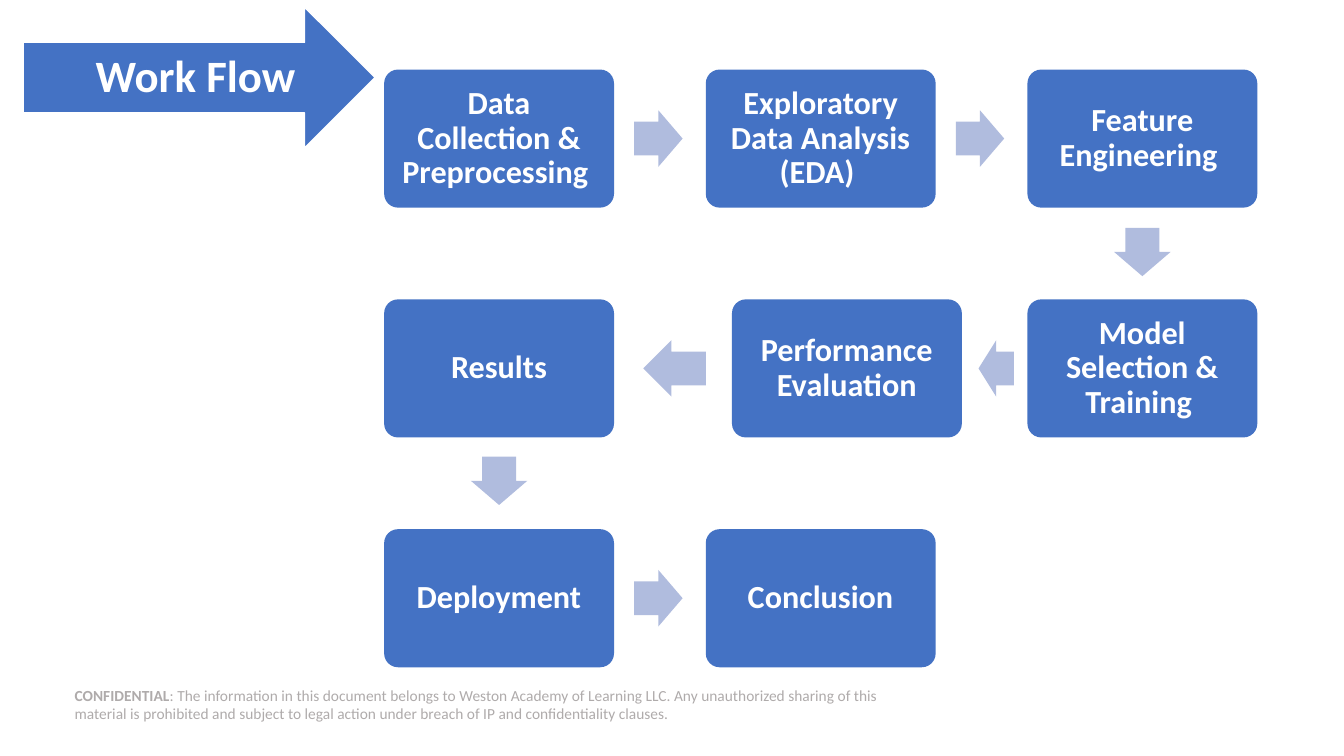
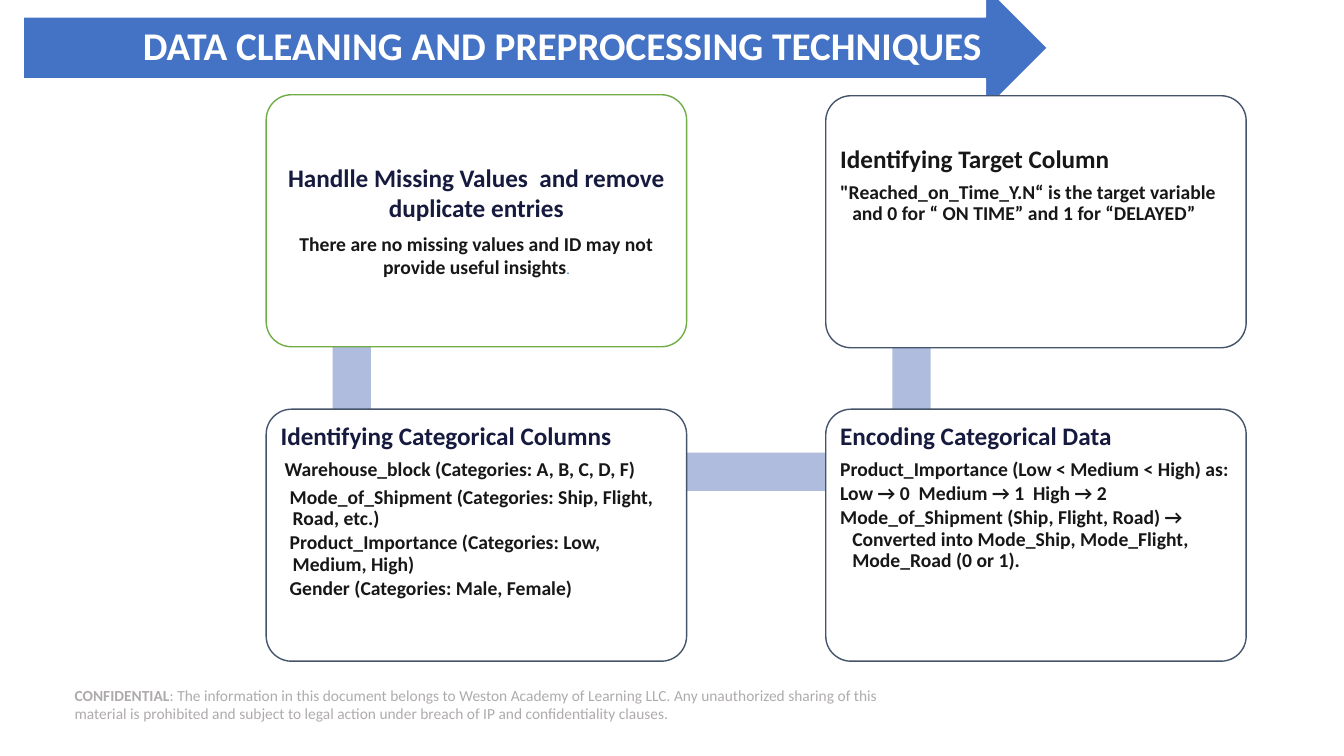
from dataclasses import dataclass

from pptx import Presentation
from pptx.dml.color import RGBColor
from pptx.enum.shapes import MSO_SHAPE
from pptx.enum.text import MSO_ANCHOR, PP_ALIGN
from pptx.shapes.autoshape import Shape
from pptx.slide import Slide
from pptx.util import Inches, Pt

BLUE = RGBColor(0x44, 0x72, 0xC4)
PALE_BLUE = RGBColor(0xB0, 0xBC, 0xDE)
GREEN = RGBColor(0x70, 0xAD, 0x47)
SLATE = RGBColor(0x44, 0x54, 0x6A)
NAVY = RGBColor(0x16, 0x1A, 0x3E)
BLACK = RGBColor(0x18, 0x17, 0x17)
GRAY = RGBColor(0xAF, 0xAB, 0xAB)
WHITE = RGBColor(0xFF, 0xFF, 0xFF)
FONT = "Calibri"

STEP_WIDTH, STEP_HEIGHT = 2.28, 1.37
COLUMNS = [3.81 + 3.19 * column for column in range(3)]
ROWS = [0.69 + 2.28 * row for row in range(3)]
ROW_CENTERS = [top + STEP_HEIGHT / 2 for top in ROWS]
CARD_WIDTH, CARD_HEIGHT = 4.17, 2.5
CARD_LEFT, CARD_RIGHT = 2.64, 8.19
BAR = 0.38


@dataclass(frozen=True)
class Box:
    left: float
    top: float
    width: float
    height: float


@dataclass(frozen=True)
class Line:
    text: str
    size: float
    color: RGBColor
    after: float = 0
    left: float = 0
    first: float = 0
    bold: bool = True


@dataclass(frozen=True)
class Step:
    text: str
    left: float
    top: float


@dataclass(frozen=True)
class FlowArrow:
    center_x: float
    center_y: float
    rotation: int = 0
    length: float = 0.48


@dataclass(frozen=True)
class Card:
    left: float
    top: float
    lines: tuple[Line, ...]
    border: RGBColor = SLATE
    centered: bool = False
    margin_top: float = 0.07


def heading(text: str, color: RGBColor = NAVY) -> Line:
    return Line(text, 18, color, after=6.3)


def detail(text: str, left: float = 0.12, first: float = -0.12, after: float = 2.1) -> Line:
    return Line(text, 14, BLACK, after, left, first)


STEPS = (
    Step("Data Collection & Preprocessing ", COLUMNS[0], ROWS[0]),
    Step("Exploratory Data Analysis (EDA) ", COLUMNS[1], ROWS[0]),
    Step("Feature Engineering ", COLUMNS[2], ROWS[0]),
    Step("Model Selection & Training ", COLUMNS[2], ROWS[1]),
    Step("Performance Evaluation", 7.26, ROWS[1]),
    Step("Results", COLUMNS[0], ROWS[1]),
    Step("Deployment", COLUMNS[0], ROWS[2]),
    Step("Conclusion", COLUMNS[1], ROWS[2]),
)

FLOW_ARROWS = (
    FlowArrow(6.53, ROW_CENTERS[0]),
    FlowArrow(9.72, ROW_CENTERS[0]),
    FlowArrow(11.33, 2.5, rotation=90),
    FlowArrow(9.88, ROW_CENTERS[1], rotation=180, length=0.35),
    FlowArrow(6.69, ROW_CENTERS[1], rotation=180, length=0.62),
    FlowArrow(4.95, 4.77, rotation=90),
    FlowArrow(6.53, ROW_CENTERS[2]),
)

LINK_BARS = (
    Box(3.3, 1.57, BAR, 3.11),
    Box(3.49, 4.49, 5.53, BAR),
    Box(8.85, 1.57, BAR, 3.11),
)

CARDS = (
    Card(CARD_LEFT, 0.94, (
        heading("Handlle Missing Values  and remove duplicate entries"),
        detail("There are no missing values and ID may not provide useful insights", 0, 0),
    ), border=GREEN, centered=True),
    Card(CARD_LEFT, 4.06, (
        heading("Identifying Categorical Columns"),
        detail("Warehouse_block (Categories: A, B, C, D, F)", 0.04, 0, 4.9),
        detail("Mode_of_Shipment (Categories: Ship, Flight, Road, etc.)", first=-0.03),
        detail("Product_Importance (Categories: Low, Medium, High)", first=-0.03),
        detail("Gender (Categories: Male, Female)", first=-0.03),
    )),
    Card(CARD_RIGHT, 4.06, (
        heading("Encoding Categorical Data"),
        detail("Product_Importance (Low < Medium < High) as:"),
        detail("Low → 0  Medium → 1  High → 2"),
        detail("Mode_of_Shipment (Ship, Flight, Road) → Converted into "
               "Mode_Ship, Mode_Flight, Mode_Road (0 or 1)."),
    )),
    Card(CARD_RIGHT, 0.95, (
        heading("Identifying Target Column", BLACK),
        detail('"Reached_on_Time_Y.N“ is the target variable and 0 for “ ON TIME” '
               "and 1 for “DELAYED”"),
    ), margin_top=0.43),
)


def add_block(slide: Slide, kind: MSO_SHAPE, box: Box, fill: RGBColor,
              border: RGBColor | None = None) -> Shape:
    shape = slide.shapes.add_shape(kind, Inches(box.left), Inches(box.top),
                                   Inches(box.width), Inches(box.height))
    shape.shadow.inherit = False
    shape.fill.solid()
    shape.fill.fore_color.rgb = fill
    if border is None:
        shape.line.fill.background()
    else:
        shape.line.color.rgb = border
        shape.line.width = Pt(1)
    return shape


def write_lines(shape: Shape, lines: tuple[Line, ...], alignment: PP_ALIGN,
                anchor: MSO_ANCHOR = MSO_ANCHOR.MIDDLE, spacing: float = 0.9,
                margins: tuple[float, float, float, float] = (0, 0, 0, 0)) -> None:
    frame = shape.text_frame
    frame.word_wrap = True
    frame.vertical_anchor = anchor
    (frame.margin_left, frame.margin_top,
     frame.margin_right, frame.margin_bottom) = map(Inches, margins)
    for index, line in enumerate(lines):
        paragraph = frame.add_paragraph() if index else frame.paragraphs[0]
        paragraph.alignment = alignment
        paragraph.line_spacing = spacing
        paragraph.space_after = Pt(line.after)
        properties = paragraph._p.get_or_add_pPr()
        properties.set("marL", str(Inches(line.left)))
        properties.set("indent", str(Inches(line.first)))
        font = paragraph.font
        font.name = FONT
        font.size = Pt(line.size)
        font.bold = line.bold
        font.color.rgb = line.color
        paragraph.add_run().text = line.text


def add_footer(slide: Slide) -> None:
    shape = add_block(slide, MSO_SHAPE.RECTANGLE, Box(0.74, 6.79, 8.17, 0.4), WHITE)
    write_lines(shape, (Line("CONFIDENTIAL", 11, GRAY, bold=False),), PP_ALIGN.LEFT, spacing=1.0)
    paragraph = shape.text_frame.paragraphs[0]
    paragraph.runs[0].font.bold = True
    paragraph.add_run().text = (
        ": The information in this document belongs to Weston Academy of Learning LLC. "
        "Any unauthorized sharing of this material is prohibited and subject to legal action "
        "under breach of IP and confidentiality clauses.")


def add_title_arrow(slide: Slide, title: str, box: Box, size: float, margin_left: float) -> None:
    shape = add_block(slide, MSO_SHAPE.RIGHT_ARROW, box, BLUE, WHITE)
    write_lines(shape, (Line(title, size, WHITE),), PP_ALIGN.CENTER,
                margins=(margin_left, 0, 0, 0))


def add_step(slide: Slide, step: Step) -> None:
    shape = add_block(slide, MSO_SHAPE.ROUNDED_RECTANGLE,
                      Box(step.left, step.top, STEP_WIDTH, STEP_HEIGHT), BLUE)
    shape.adjustments[0] = 0.1
    write_lines(shape, (Line(step.text, 23, WHITE),), PP_ALIGN.CENTER,
                margins=(0.1, 0.1, 0.1, 0.1))


def add_flow_arrow(slide: Slide, arrow: FlowArrow) -> None:
    height = 0.56
    box = Box(arrow.center_x - arrow.length / 2, arrow.center_y - height / 2,
              arrow.length, height)
    shape = add_block(slide, MSO_SHAPE.RIGHT_ARROW, box, PALE_BLUE)
    shape.adjustments[0] = 0.6
    shape.adjustments[1] = 0.5
    shape.rotation = arrow.rotation


def add_card(slide: Slide, card: Card) -> Shape:
    shape = add_block(slide, MSO_SHAPE.ROUNDED_RECTANGLE,
                      Box(card.left, card.top, CARD_WIDTH, CARD_HEIGHT), WHITE, card.border)
    shape.adjustments[0] = 0.1
    write_lines(shape, card.lines,
                PP_ALIGN.CENTER if card.centered else PP_ALIGN.LEFT,
                MSO_ANCHOR.MIDDLE if card.centered else MSO_ANCHOR.TOP,
                1.0 if card.centered else 0.9,
                (0.07, card.margin_top, 0.07, 0.07))
    return shape


def add_slide(presentation: Presentation) -> Slide:
    slide = presentation.slides.add_slide(presentation.slide_layouts[6])
    add_footer(slide)
    return slide


def build_work_flow(presentation: Presentation) -> None:
    slide = add_slide(presentation)
    for step in STEPS:
        add_step(slide, step)
    for arrow in FLOW_ARROWS:
        add_flow_arrow(slide, arrow)
    add_title_arrow(slide, "Work Flow", Box(0.23, 0.07, 3.49, 1.4), 32, 0.28)


def build_techniques(presentation: Presentation) -> None:
    slide = add_slide(presentation)
    add_title_arrow(slide, "DATA CLEANING AND PREPROCESSING TECHNIQUES",
                    Box(0.23, -0.14, 10.16, 1.23), 28, 0.84)
    for bar in LINK_BARS:
        add_block(slide, MSO_SHAPE.RECTANGLE, bar, PALE_BLUE)
    missing_values, *_ = [add_card(slide, card) for card in CARDS]
    period = missing_values.text_frame.paragraphs[-1].add_run()
    period.text = "."
    period.font.size = Pt(8)
    period.font.color.rgb = BLUE


def main() -> None:
    presentation = Presentation()
    presentation.slide_width = Inches(13.33)
    presentation.slide_height = Inches(7.5)
    build_work_flow(presentation)
    build_techniques(presentation)
    presentation.save("out.pptx")


if __name__ == "__main__":
    main()
